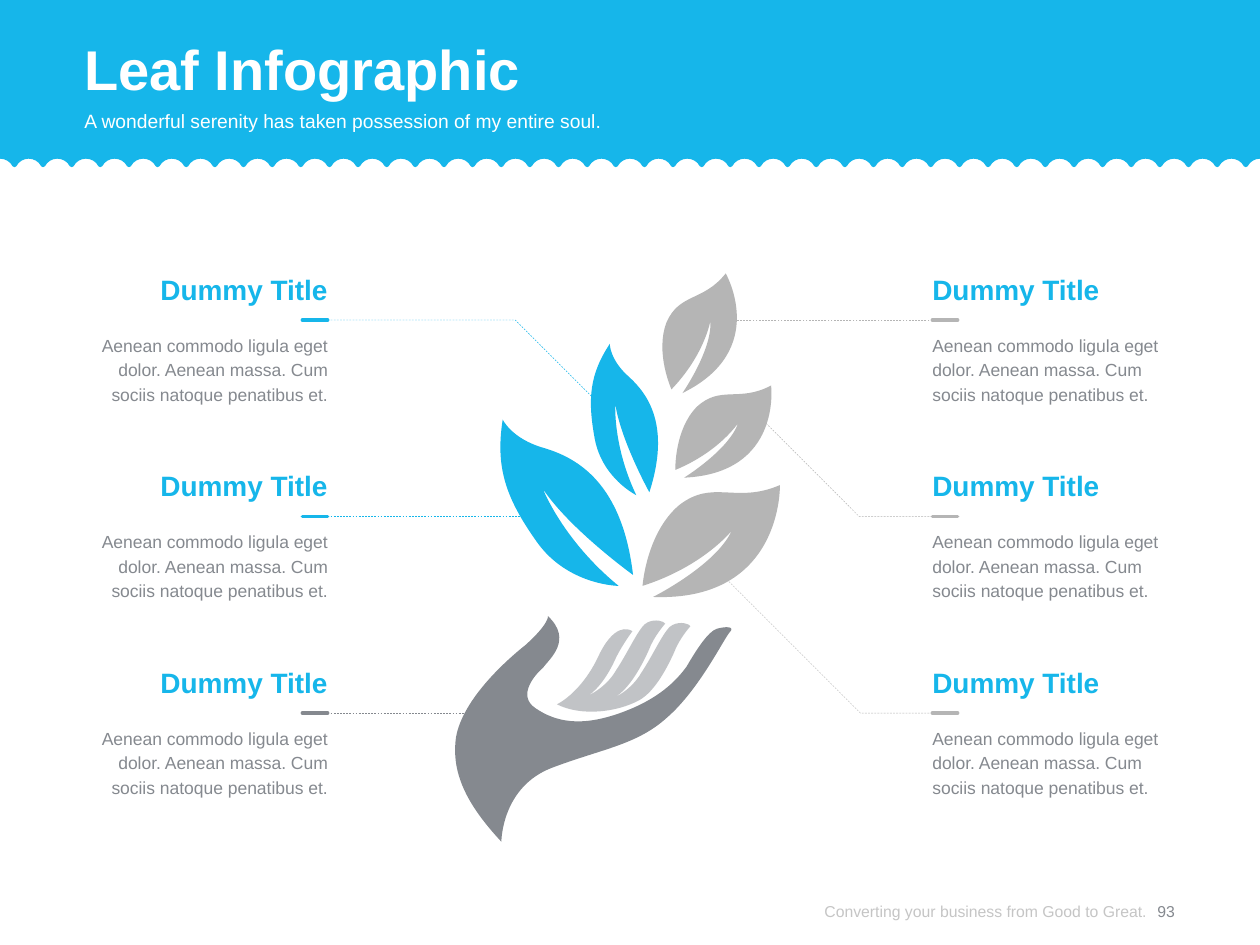
"""Build the leaf infographic slide: a hand holding five leaves, with six captions."""
from lxml.etree import SubElement
from pptx import Presentation
from pptx.dml.color import RGBColor
from pptx.enum.dml import MSO_LINE
from pptx.enum.shapes import MSO_CONNECTOR
from pptx.enum.text import MSO_ANCHOR, PP_ALIGN
from pptx.oxml.ns import qn
from pptx.util import Inches, Pt

BLUE, SILVER, SLATE, GREY, WHITE = "16B6EA", "B5B5B5", "85898F", "8C8C8C", "FFFFFF"
W, H = 10, 7.5
MARGIN, COL_W = 0.67, 1.93
ROW_TOP, ROW_GAP = 2.54, 1.56
BAR, INSET = 0.2, 0.05
SCALLOPS, BANNER_H = 44, 1.26
FOOT_TOP, FOOT_H = 6.96, 0.54

TITLE = "Leaf Infographic"
SUBTITLE = "A wonderful serenity has taken possession of my entire soul."
FOOTER, PAGE = "Converting your business from Good to Great.", "93"
HEAD = "Dummy Title"
BODY = "Aenean commodo ligula eget dolor. Aenean massa. Cum sociis natoque penatibus et."

LEFT = [
    (HEAD, BODY, BLUE, [(4.09, 0), (4.73, 0.64)]),
    (HEAD, BODY, BLUE, [(4.2, 0)]),
    (HEAD, BODY, SLATE, [(3.81, 0)]),
]
RIGHT = [
    (HEAD, BODY, SILVER, [(5.85, 0)]),
    (HEAD, BODY, SILVER, [(6.82, 0), (6.05, -0.77)]),
    (HEAD, BODY, SILVER, [(6.83, 0), (5.72, -1.11)]),
]

BASE, FLANK, TIP = (0, 0), (0, 1), (1, 0)
HOOKED_LEAF = [
    [(-0.22, 0.93), FLANK],
    [(0.24, 1.03), (0.61, 0.25), TIP],
    [(1.61, -2.21), (0.17, -0.35)],
    [(0.7, -0.62), (0.7, -0.19)],
    [(0.57, -0.47), BASE],
]
FLARED_LEAF = [
    [(-0.26, 0.99), FLANK],
    [(0.26, 1.01), (0.5, 0.8), TIP],
    [(0.86, 0.09), (0.94, -0.42)],
    [(1.02, -0.95), (1, -1.46), (0.18, -0.43)],
    [(0.29, 0.18), (0.54, 0.16)],
    [(0.15, 0.47), BASE],
]
LEAVES = [
    {"kind": HOOKED_LEAF, "base": (5.1, 4.65), "tip": (6.19, 3.85), "flank": (5.39, 4.01), "color": SILVER},
    {"kind": FLARED_LEAF, "base": (4.91, 4.65), "tip": (3.99, 3.33), "flank": (4.26, 4.3), "color": BLUE},
    {"kind": HOOKED_LEAF, "base": (5.36, 3.73), "tip": (6.12, 3.06), "flank": (5.53, 3.23), "color": SILVER},
    {"kind": HOOKED_LEAF, "base": (5.33, 3.09), "tip": (5.76, 2.17), "flank": (5.29, 2.56), "color": SILVER},
    {"kind": FLARED_LEAF, "base": (5.05, 3.93), "tip": (4.84, 2.73), "flank": (4.72, 3.48), "color": BLUE},
]

THUMB_TIP, FINGER_ROOT = (4.35, 4.89), (4.42, 5.59)
THUMB_BACK = [[(0.01, 0.06), (-0.18, 0.23)],
              [(-0.38, 0.39), (-0.68, 0.68), (-0.73, 0.96)],
              [(-0.77, 1.24), (-0.65, 1.49), (-0.37, 1.79)]]
UNDERSIDE = [[(0, -0.44), (0.41, -0.59)],
             [(0.81, -0.74), (1.08, -0.77), (1.32, -0.99)],
             [(1.57, -1.21), (1.76, -1.6), (1.81, -1.66)]]
FOREFINGER_TIP = [[(0.05, -0.05), (-0.03, -0.05), (-0.1, -0.03)]]
PALM = [[(-0.07, 0.02), (-0.17, 0.18), (-0.24, 0.3)],
        [(-0.32, 0.41), (-0.46, 0.56), (-0.77, 0.67)],
        [(-1.08, 0.78), (-1.28, 0.74), (-1.44, 0.63)]]
THUMB_FRONT = [[(-0.15, -0.1), (0, -0.27), (0.06, -0.32)],
               [(0.11, -0.39), (0.3, -0.54), (0.1, -0.73)]]
HAND = [THUMB_BACK, UNDERSIDE, FOREFINGER_TIP, PALM, THUMB_FRONT]

LITTLE_FINGER = [[(0.18, -0.08), (0.32, -0.36)],
                 [(0.45, -0.65), (0.57, -0.6), (0.6, -0.58)],
                 [(0.51, -0.46), (0.46, -0.35)],
                 [(0.41, -0.24), (0.33, -0.12), (0.25, -0.07)]]
LONG_FINGER = [[(0.14, -0.06), (0.22, -0.2)],
               [(0.32, -0.35), (0.41, -0.56), (0.47, -0.58)],
               [(0.53, -0.61), (0.6, -0.59), (0.61, -0.57)],
               [(0.52, -0.47), (0.48, -0.36)],
               [(0.43, -0.25), (0.33, -0.05), (0.2, 0.02)]]
KNUCKLES = [[(-0.17, 0.09), (-0.45, 0.13), (-0.65, 0.03)]]
FINGERS = [LITTLE_FINGER, LONG_FINGER, LONG_FINGER, KNUCKLES]

SCALLOP = [[(0.04, 0), (0.08, 0.02), (0.1, 0.06)],
           [(0.11, 0.07), (0.12, 0.07), (0.13, 0.06)],
           [(0.15, 0.02), (0.19, 0), (W / SCALLOPS, 0)]]
BANNER = [[[(0, BANNER_H)]]] + [SCALLOP] * SCALLOPS + [[[(0, -BANNER_H)]]]


def trace(start, strokes):
    pts = [start]
    for stroke in strokes:
        ox, oy = pts[-1]
        for curve in stroke:
            pts += [pts[-1]] * (3 - len(curve)) + [(ox + dx, oy + dy) for dx, dy in curve]
    return pts


def leaf_stroke(kind, base, tip, flank):
    (bx, by), (tx, ty), (fx, fy) = base, tip, flank
    return [[(a * (tx - bx) + b * (fx - bx), a * (ty - by) + b * (fy - by)) for a, b in curve]
            for curve in kind]


def paint(fill, color, element, alpha=100):
    fill.solid()
    fill.fore_color.rgb = RGBColor.from_string(color)
    if alpha < 100:
        SubElement(next(element.iter(qn("a:srgbClr"))), qn("a:alpha"), val=str(alpha * 1000))


def add_outline(s, points, close):
    pts = [(Inches(x), Inches(y)) for x, y in points]
    builder = s.shapes.build_freeform(*pts[0])
    builder.add_line_segments(pts[1:], close=close)
    sp = builder.convert_to_shape()
    sp.shadow.inherit = False
    return sp


def add_curve(s, start, strokes, color, alpha=100):
    sp = add_outline(s, trace(start, strokes), True)
    outline = next(sp._element.iter(qn("a:path")))
    steps = outline.findall(qn("a:lnTo"))
    for i in range(0, len(steps), 3):
        curve = outline.makeelement(qn("a:cubicBezTo"))
        steps[i].addprevious(curve)
        for step in steps[i:i + 3]:
            curve.append(step[0])
            outline.remove(step)
    paint(sp.fill, color, sp._element, alpha)
    sp.line.fill.background()


def style_line(line, color, width, dashed):
    line.color.rgb = RGBColor.from_string(color)
    line.width = Pt(width)
    if dashed:
        line.dash_style = MSO_LINE.DASH


def add_line(s, start, end, color, width, dashed=False):
    cn = s.shapes.add_connector(MSO_CONNECTOR.STRAIGHT, *(Inches(v) for v in (*start, *end)))
    style_line(cn.line, color, width, dashed)
    if not dashed:
        cn._element.spPr.find(qn("a:ln")).set("cap", "rnd")
    SubElement(cn._element.spPr, qn("a:effectLst"))


def add_leader(s, points, color):
    if len(points) == 2:
        add_line(s, *points, color, 0.25, True)
        return
    sp = add_outline(s, points, False)
    sp.fill.background()
    style_line(sp.line, color, 0.25, True)


def add_text(s, box, text, size, color, bold=False, align=PP_ALIGN.LEFT,
             anchor=MSO_ANCHOR.TOP, spacing=None, alpha=100):
    tf = s.shapes.add_textbox(*(Inches(v) for v in box)).text_frame
    tf.word_wrap = True
    tf.vertical_anchor = anchor
    tf.margin_left = tf.margin_right = tf.margin_top = tf.margin_bottom = 0
    p = tf.paragraphs[0]
    p.alignment = align
    if spacing:
        p.line_spacing = Pt(spacing)
    r = p.add_run()
    r.text = text
    r.font.name, r.font.size, r.font.bold = "Arial", Pt(size), bold
    paint(r.font.fill, color, r._r, alpha)


def add_captions(s, captions, x, bar_x, leader_x, align):
    for row, (head, body, color, bends) in enumerate(captions):
        y = ROW_TOP + row * ROW_GAP
        add_leader(s, [(leader_x, y)] + [(bx, y + dy) for bx, dy in bends], color)
        add_text(s, (x, y + 0.09, COL_W, 0.57), body, 10, SLATE, align=align, spacing=14)
        add_line(s, (bar_x, y), (bar_x + BAR, y), color, 2)
        add_text(s, (x, y - 0.38, COL_W, 0.27), head, 16, BLUE, True, align)


def main():
    prs = Presentation()
    prs.slide_width, prs.slide_height = Inches(W), Inches(H)
    s = prs.slides.add_slide(prs.slide_layouts[6])
    middle, full = MSO_ANCHOR.MIDDLE, W - 2 * MARGIN

    add_curve(s, (0, 0), BANNER, BLUE)
    add_text(s, (MARGIN, 0.19, full, 0.65), TITLE, 32, WHITE, True, anchor=middle, spacing=42)
    add_text(s, (MARGIN, 0.87, full, 0.39), SUBTITLE, 11, WHITE)

    right_x, left_end = W - MARGIN - COL_W, MARGIN + COL_W
    add_captions(s, LEFT, MARGIN, left_end - BAR, left_end - INSET, PP_ALIGN.RIGHT)
    add_captions(s, RIGHT, right_x, right_x, right_x + INSET, PP_ALIGN.LEFT)

    for leaf in LEAVES:
        stroke = leaf_stroke(leaf["kind"], leaf["base"], leaf["tip"], leaf["flank"])
        add_curve(s, leaf["base"], [stroke], leaf["color"])
    add_curve(s, THUMB_TIP, HAND, SLATE)
    add_curve(s, FINGER_ROOT, FINGERS, SLATE, alpha=50)

    add_text(s, (6.04, FOOT_TOP, 3.06, FOOT_H), FOOTER, 9, GREY, align=PP_ALIGN.RIGHT, anchor=middle, alpha=50)
    add_text(s, (9.02, FOOT_TOP, 0.47, FOOT_H), PAGE, 9, SLATE, align=PP_ALIGN.CENTER, anchor=middle)
    prs.save("out.pptx")


if __name__ == "__main__":
    main()
